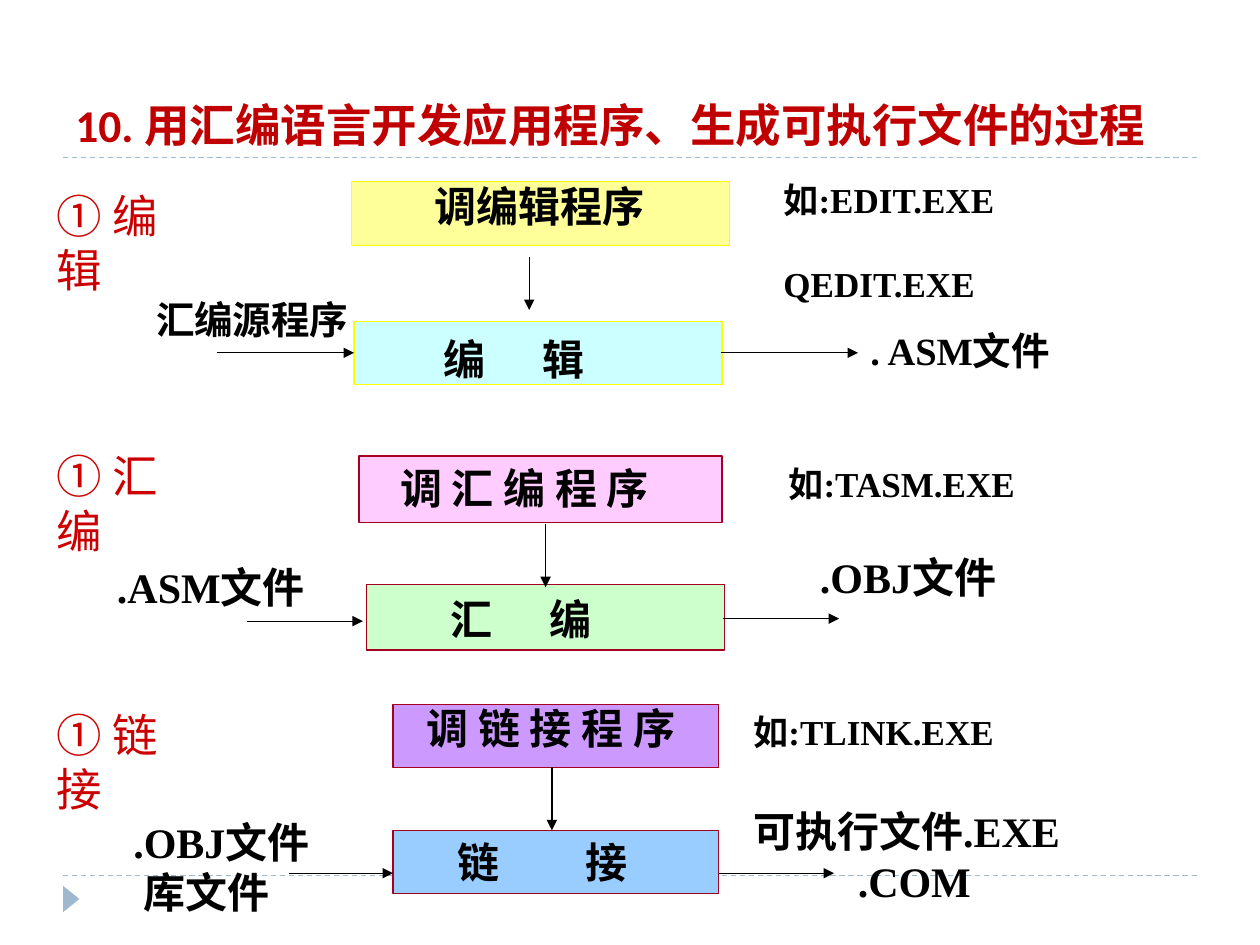
from lxml import etree
from pptx import Presentation
from pptx import util as u
from pptx.dml.color import RGBColor
from pptx.enum import dml, shapes, text
from pptx.oxml.ns import qn

COLS, ROWS = 100, 75
BODY = {"name": "Times New Roman", "size": 24, "bold": True, "color": "000000"}
SMALL = BODY | {"size": 20}
MEDIUM = BODY | {"size": 22}
STAGE = BODY | {"size": 26, "bold": False, "color": "CC0000"}
TITLE = {"name": "Calibri", "size": 26, "bold": True, "color": "C00000"}


def rgb(value):
    return RGBColor.from_string(value)


class Deck:
    """Holds the presentation, its grid and the current slide."""

    def __init__(self):
        self.prs = Presentation()
        self.prs.slide_width, self.prs.slide_height = u.Inches(10), u.Inches(7.5)
        self.s = self.prs.slides.add_slide(self.prs.slide_layouts[6])

    def x(self, cols):
        return u.Emu(round(self.prs.slide_width * cols / COLS))

    def y(self, rows):
        return u.Emu(round(self.prs.slide_height * rows / ROWS))

    def place(self, box):
        left, top, width, height = box
        return self.x(left), self.y(top), self.x(width), self.y(height)

    def shape(self, kind, box, fill, line=None, rotation=0):
        sp = self.s.shapes.add_shape(kind, *self.place(box))
        sp.shadow.inherit = False
        sp.rotation = rotation
        sp.fill.solid()
        sp.fill.fore_color.rgb = rgb(fill)
        if line:
            sp.line.color.rgb = rgb(line)
            sp.line.width = u.Pt(0.75)
        else:
            sp.line.fill.background()

    def rect(self, box, fill, line):
        self.shape(shapes.MSO_SHAPE.RECTANGLE, box, fill, line)

    def line(self, start, end, color="000000", dashed=False):
        """A dashed rule, or a solid line with an arrowhead."""
        c = self.s.shapes.add_connector(
            shapes.MSO_CONNECTOR.STRAIGHT,
            self.x(start[0]), self.y(start[1]), self.x(end[0]), self.y(end[1]))
        c.line.color.rgb = rgb(color)
        c.line.width = u.Pt(0.75)
        if dashed:
            c.line.dash_style = dml.MSO_LINE.DASH
        else:
            etree.SubElement(c.line._get_or_add_ln(), qn("a:tailEnd"), type="triangle")
        etree.SubElement(c._element.spPr, qn("a:effectLst"))

    def text(self, box, lines, style=BODY, tab=0, indents=(0, 0), gap=0, bottom=False):
        tf = self.s.shapes.add_textbox(*self.place(box)).text_frame
        tf.word_wrap = True
        if bottom:
            tf.vertical_anchor = text.MSO_ANCHOR.BOTTOM
        for i, (content, indent) in enumerate(zip(lines.split("\n"), indents)):
            p = tf.add_paragraph() if i else tf.paragraphs[0]
            if i and gap:
                p.space_before = u.Pt(gap)
            pPr = p._p.get_or_add_pPr()
            if indent:
                pPr.set("marL", str(self.x(indent)))
            if tab:
                tabs = etree.SubElement(pPr, qn("a:tabLst"))
                etree.SubElement(tabs, qn("a:tab"), pos=str(self.x(tab)), algn="l")
            r = p.add_run()
            r.text = content
            for key, value in style.items():
                if key == "color":
                    r.font.color.rgb = rgb(value)
                else:
                    setattr(r.font, key, u.Pt(value) if key == "size" else value)


# Per stage: label row, boxes, arrows (down, in, out), then texts
STAGES = [
    {"label": ("① 编辑", 14.4),
     "boxes": [((27.9, 14.4, 30, 5.1), "FFFF99", "FFFF00"),
               ((28.1, 25.5, 29.2, 5), "CCFFFF", "FFFF00")],
     "arrows": [((42, 20.4), (42, 24.6)), ((17.2, 28), (28.1, 28)),
                ((57.2, 28), (68.1, 28))],
     "texts": [((33.5, 13.8, 22, 5.1), "调编辑程序", {}),
               ((34.2, 26, 20, 5), "编\t辑", {"tab": 7.85}),
               ((11.4, 23, 19.2, 4.7), "汇编源程序", {"style": MEDIUM}),
               ((68.1, 25.5, 24.2, 5), ". ASM文件", {"style": MEDIUM}),
               ((61.2, 13.7, 23.3, 7.7), "如:EDIT.EXE\nQEDIT.EXE",
                {"style": SMALL, "gap": 24})]},
    {"label": ("① 汇编", 35.1),
     "boxes": [((28.5, 36.2, 28.8, 5.3), "FFCCFF", "A50021"),
               ((29.1, 46.4, 28.4, 5.2), "CCFFCC", "A50021")],
     "arrows": [((43.3, 41.6), (43.3, 46.6)), ((19.6, 49.3), (28.8, 49.3)),
                ((57.4, 49.1), (66.6, 49.1))],
     "texts": [((30.8, 36.2, 24, 5), "调 汇 编 程 序", {}),
               ((34.8, 46.6, 20, 5), "汇\t编", {"tab": 7.85}),
               ((8.3, 44.1, 17.5, 5), ".ASM文件", {}),
               ((64.1, 43.3, 18.3, 5), ".OBJ文件", {}),
               ((61.6, 36.2, 22, 4.3), "如:TASM.EXE", {"style": SMALL})]},
    {"label": ("① 链接", 55.6),
     "boxes": [((31.2, 55.9, 25.8, 5), "CC99FF", "A50021"),
               ((31.2, 65.9, 25.8, 5), "99CCFF", "A50021")],
     "arrows": [((43.8, 60.9), (43.8, 65.9)), ((22.9, 69.3), (31.2, 69.3)),
                ((57.1, 69.3), (66.2, 69.3))],
     "texts": [((32.9, 55.3, 23.3, 5), "调 链 接 程 序", {}),
               ((35.3, 65.9, 20, 5), "链\t接", {"tab": 10.15}),
               ((9.6, 64.3, 17.5, 9.1), ".OBJ文件\n库文件", {"indents": (0, 0.8)}),
               ((58.8, 63.4, 30, 9.1), "可执行文件.EXE\n.COM", {"indents": (0, 8.3)}),
               ((58.8, 55.9, 29.2, 4.3), "如:TLINK.EXE", {"style": SMALL})]},
]


def main():
    d = Deck()

    # Rules, corner marker and title
    for row in (69.5, 12.5):
        d.line((5, row), (95, row), "9FB8CD", dashed=True)
    d.shape(shapes.MSO_SHAPE.ISOSCELES_TRIANGLE, (4.6, 70.7, 2.1, 1.3), "9FB8CD", rotation=90)
    d.text((5, 1.7, 90, 10.8), "10. 用汇编语言开发应用程序、生成可执行文件的过程", TITLE, bottom=True)

    # The three stages
    for stage in STAGES:
        for box in stage["boxes"]:
            d.rect(*box)
        for arrow in stage["arrows"]:
            d.line(*arrow)
        for box, content, options in stage["texts"]:
            d.text(box, content, **options)
        label, row = stage["label"]
        d.text((3.5, row, 13.5, 5.4), label, STAGE)

    d.prs.save("out.pptx")


if __name__ == "__main__":
    main()
